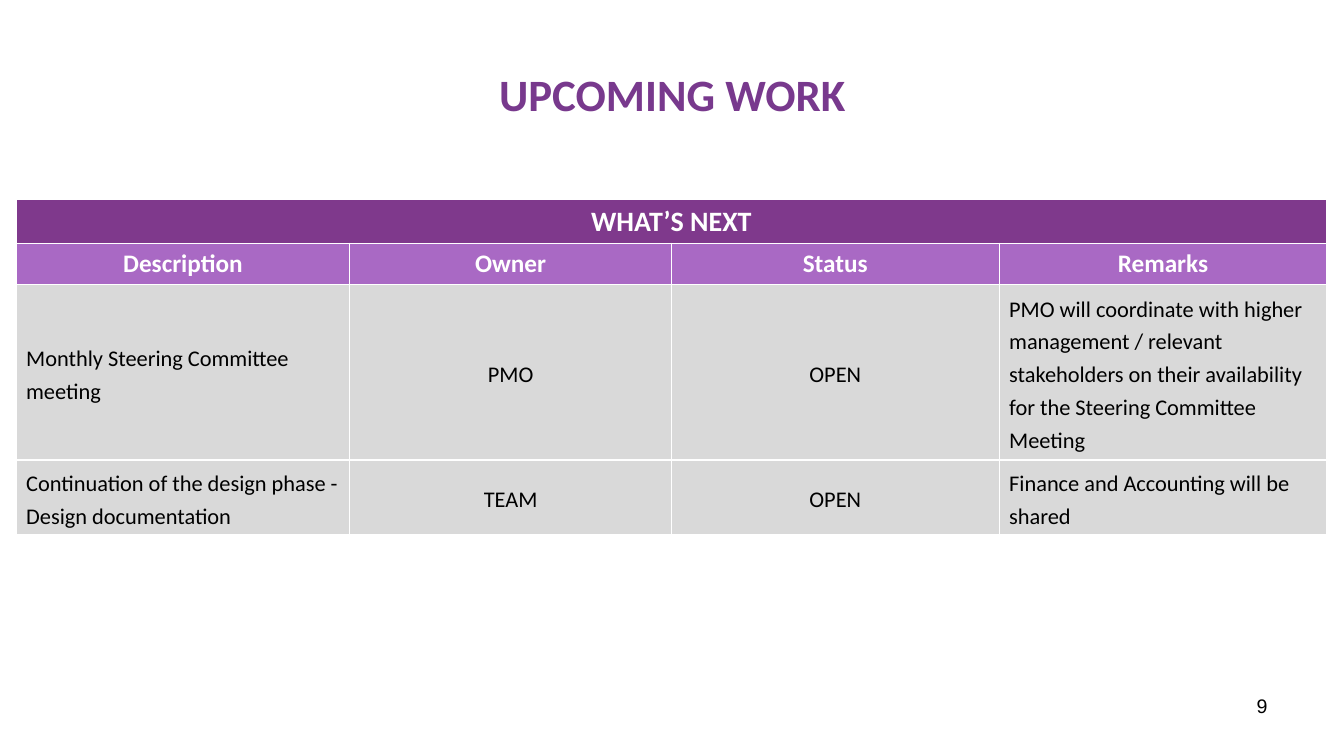
from lxml import etree
from pptx import Presentation
from pptx.dml.color import RGBColor
from pptx.enum.text import MSO_ANCHOR, PP_ALIGN
from pptx.oxml.ns import qn
from pptx.util import Inches, Pt

LEFT, CENTER, RIGHT = PP_ALIGN.LEFT, PP_ALIGN.CENTER, PP_ALIGN.RIGHT
TOP, MIDDLE = MSO_ANCHOR.TOP, MSO_ANCHOR.MIDDLE

BANNER = {"size": Pt(20), "name": "Calibri", "bold": True}
HEADING = {"size": Pt(18), "name": "Calibri", "bold": True}
BODY = {"size": Pt(16), "name": "Calibri", "bold": False}
COLUMN_WIDTHS = [3.31, 3.19, 3.25, 3.25]
ROW_HEIGHTS = [0.43, 0.41, 1.74, 0.74]
ROWS = [
    ["WHAT’S NEXT", "", "", ""],
    ["Description", "Owner", "Status", "Remarks"],
    ["Monthly Steering Committee meeting", "PMO", "OPEN",
     "PMO will coordinate with higher management / relevant stakeholders "
     "on their availability for the Steering Committee Meeting"],
    ["Continuation of the design phase - Design documentation", "TEAM", "OPEN",
     "Finance and Accounting will be shared"],
]
# Font, text colour, fill, anchor and line spacing of each row
ROW_STYLES = [
    (BANNER, "FFFFFF", "7F398C", TOP, 1.0),
    (HEADING, "FFFFFF", "A969C4", TOP, 1.0),
    (BODY, "000000", "D9D9D9", MIDDLE, 1.2),
    (BODY, "000000", "D9D9D9", MIDDLE, 1.2),
]


def write(frame, text, font, color, align, spacing=1.0):
    """Put one formatted line of text in a text frame."""
    para = frame.paragraphs[0]
    para.alignment, para.line_spacing = align, spacing
    span = para.add_run()
    span.text = text
    for key, value in font.items():
        setattr(span.font, key, value)
    span.font.color.rgb = RGBColor.from_string(color)


def paint(cell, fill, border):
    """Give a table cell thin borders and a solid fill."""
    properties = cell._tc.get_or_add_tcPr()
    for side in ("a:lnL", "a:lnR", "a:lnT", "a:lnB"):
        line = etree.SubElement(properties, qn(side), w=str(Pt(1)))
        solid = etree.SubElement(line, qn("a:solidFill"))
        etree.SubElement(solid, qn("a:srgbClr"), val=border)
    cell.fill.solid()
    cell.fill.fore_color.rgb = RGBColor.from_string(fill)


deck = Presentation()
deck.slide_width, deck.slide_height = Inches(13.33), Inches(7.5)
slide = deck.slides.add_slide(deck.slide_layouts[5])

title = slide.shapes.title
title.left, title.top = Inches(0.67), Inches(0.3)
title.width, title.height = Inches(12), Inches(1.25)
title.text_frame.vertical_anchor = MIDDLE
write(title.text_frame, "UPCOMING WORK",
      {"size": Pt(32), "name": "Calibri", "bold": True}, "78398D", CENTER)

page_number = slide.shapes.add_textbox(Inches(9.56), Inches(6.83), Inches(3.11), Inches(0.52))
page_number.text_frame.word_wrap = True
write(page_number.text_frame, "9", {"size": Pt(14), "name": "Arial"}, "000000", RIGHT)

table = slide.shapes.add_table(
    len(ROWS), len(COLUMN_WIDTHS), Inches(0.16), Inches(1.98),
    Inches(sum(COLUMN_WIDTHS)), Inches(sum(ROW_HEIGHTS))).table
for column, width in zip(table.columns, COLUMN_WIDTHS):
    column.width = Inches(width)
for row, height in zip(table.rows, ROW_HEIGHTS):
    row.height = Inches(height)
table.cell(0, 0).merge(table.cell(0, 3))

for row, texts, style in zip(table.rows, ROWS, ROW_STYLES):
    font, color, fill, anchor, spacing = style
    for index, (cell, text) in enumerate(zip(row.cells, texts)):
        paint(cell, fill, "FFFFFF")
        cell.vertical_anchor = anchor
        if text:
            align = LEFT if font is BODY and index in (0, 3) else CENTER
            write(cell.text_frame, text, font, color, align, spacing)

deck.save("out.pptx")
